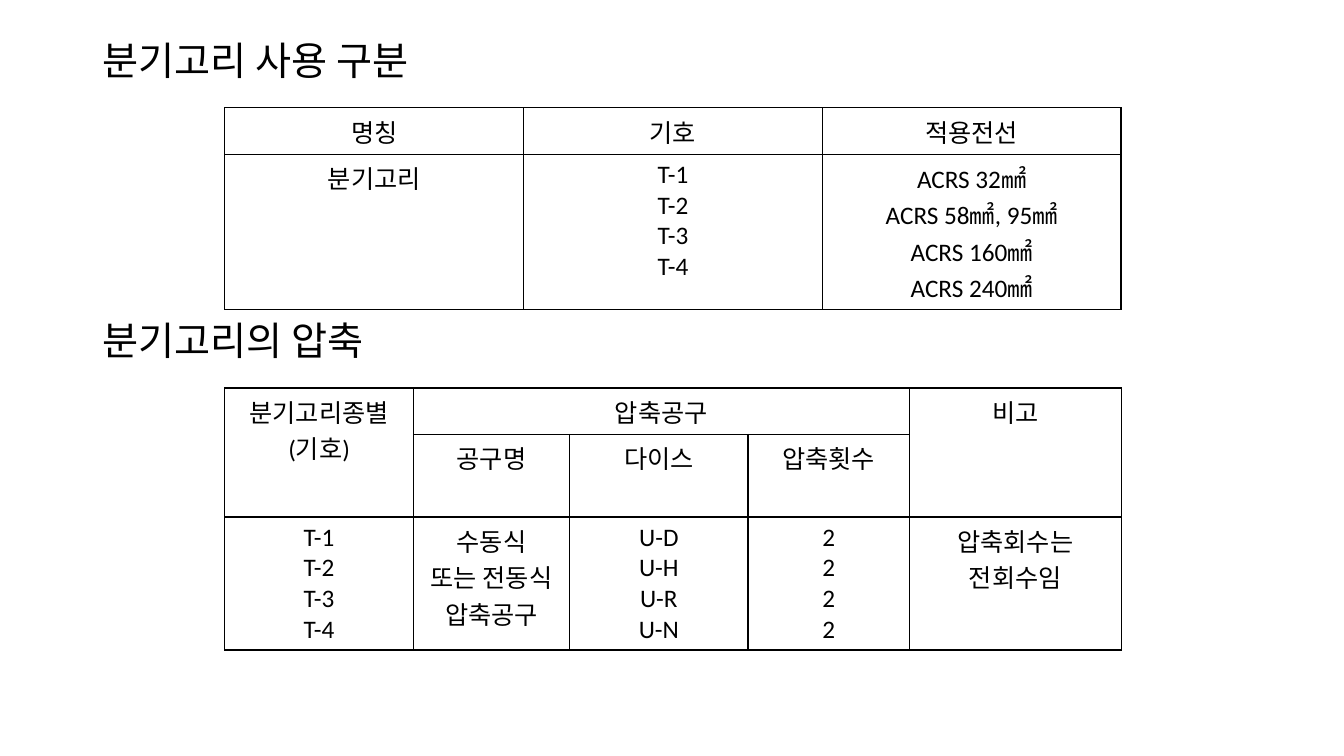
from lxml import etree
from pptx import Presentation
from pptx.dml.color import RGBColor
from pptx.enum.text import MSO_ANCHOR, PP_ALIGN
from pptx.oxml.ns import qn
from pptx.util import Inches, Pt

CENTER = PP_ALIGN.CENTER
MIDDLE = MSO_ANCHOR.MIDDLE
COLORS = {"text": "000000", "border": "000000", "cell": "FFFFFF"}
FONT = "Calibri"
SLIDE_WIDTH, SLIDE_HEIGHT = 13.33, 7.5
SECTION_LEFT, SECTION_WIDTH = 0.92, 11.5
HEADING_HEIGHT = 0.57
TABLE_INDENT, TABLE_OFFSET, TABLE_WIDTH = 1.31, 0.73, 8.89
SYMBOLS = "T-1\nT-2\nT-3\nT-4"

SECTIONS = [
    {
        "heading": "분기고리 사용 구분",
        "top": 0.34,
        "columns": [1, 1, 1],
        "rows": [0.46, 1.54],
        "merges": [],
        "cells": [
            ["명칭", "기호", "적용전선"],
            ["분기고리", SYMBOLS,
             "ACRS 32㎟\nACRS 58㎟, 95㎟\nACRS 160㎟\nACRS 240㎟"],
        ],
    },
    {
        "heading": "분기고리의 압축",
        "top": 3.12,
        "columns": [1.87, 1.55, 1.77, 1.6, 2.1],
        "rows": [0.46, 0.82, 1.32],
        "merges": [((0, 0), (1, 0)), ((0, 1), (0, 3)), ((0, 4), (1, 4))],
        "cells": [
            ["분기고리종별\n(기호)", "압축공구", "", "", "비고"],
            ["", "공구명", "다이스", "압축횟수", ""],
            [SYMBOLS, "수동식\n또는 전동식\n압축공구", "U-D\nU-H\nU-R\nU-N",
             "2\n2\n2\n2", "압축회수는\n전회수임"],
        ],
    },
]


def format_paragraph(paragraph, size):
    """Apply the slide's font to every run of a paragraph."""
    for run in paragraph.runs:
        run.font.name = FONT
        run.font.size = Pt(size)
        run.font.bold = False
        run.font.color.rgb = RGBColor.from_string(COLORS["text"])


def add_heading(slide, text, left, top, width):
    """Add a section heading, centred vertically in its box."""
    shape = slide.shapes.add_textbox(
        Inches(left), Inches(top), Inches(width), Inches(HEADING_HEIGHT))
    text_frame = shape.text_frame
    text_frame.word_wrap = True
    text_frame.vertical_anchor = MIDDLE
    text_frame.text = text
    paragraph = text_frame.paragraphs[0]
    paragraph.line_spacing = 0.9
    format_paragraph(paragraph, 28)


def format_cell(cell, text):
    """Fill, frame and label one table cell."""
    properties = cell._tc.get_or_add_tcPr()
    for side in ("a:lnL", "a:lnR", "a:lnT", "a:lnB"):
        line = etree.SubElement(properties, qn(side), w=str(Pt(1)))
        fill = etree.SubElement(line, qn("a:solidFill"))
        etree.SubElement(fill, qn("a:srgbClr"), val=COLORS["border"])
    cell.fill.solid()
    cell.fill.fore_color.rgb = RGBColor.from_string(COLORS["cell"])
    cell.text_frame.text = text
    for paragraph in cell.text_frame.paragraphs:
        paragraph.alignment = CENTER
        format_paragraph(paragraph, 18)


def add_grid(slide, section, left, top, width):
    """Add a section's table with columns sharing the given width."""
    columns, rows = section["columns"], section["rows"]
    table = slide.shapes.add_table(
        len(rows), len(columns), Inches(left), Inches(top),
        Inches(width), Inches(sum(rows))).table
    table.first_row = False
    table.horz_banding = False
    for column, share in zip(table.columns, columns):
        column.width = Inches(width * share / sum(columns))
    for row, height, texts in zip(table.rows, rows, section["cells"]):
        row.height = Inches(height)
        for cell, text in zip(row.cells, texts):
            format_cell(cell, text)
    for first, last in section["merges"]:
        table.cell(*first).merge(table.cell(*last))


def add_section(slide, section, left, width):
    """Add a heading with its table below it."""
    top = section["top"]
    add_heading(slide, section["heading"], left, top, width)
    add_grid(slide, section, left + TABLE_INDENT, top + TABLE_OFFSET, TABLE_WIDTH)


def main():
    """Build and save the presentation."""
    presentation = Presentation()
    presentation.slide_width = Inches(SLIDE_WIDTH)
    presentation.slide_height = Inches(SLIDE_HEIGHT)
    slide = presentation.slides.add_slide(presentation.slide_layouts[6])
    for section in SECTIONS:
        add_section(slide, section, SECTION_LEFT, SECTION_WIDTH)
    presentation.save("out.pptx")


if __name__ == "__main__":
    main()
